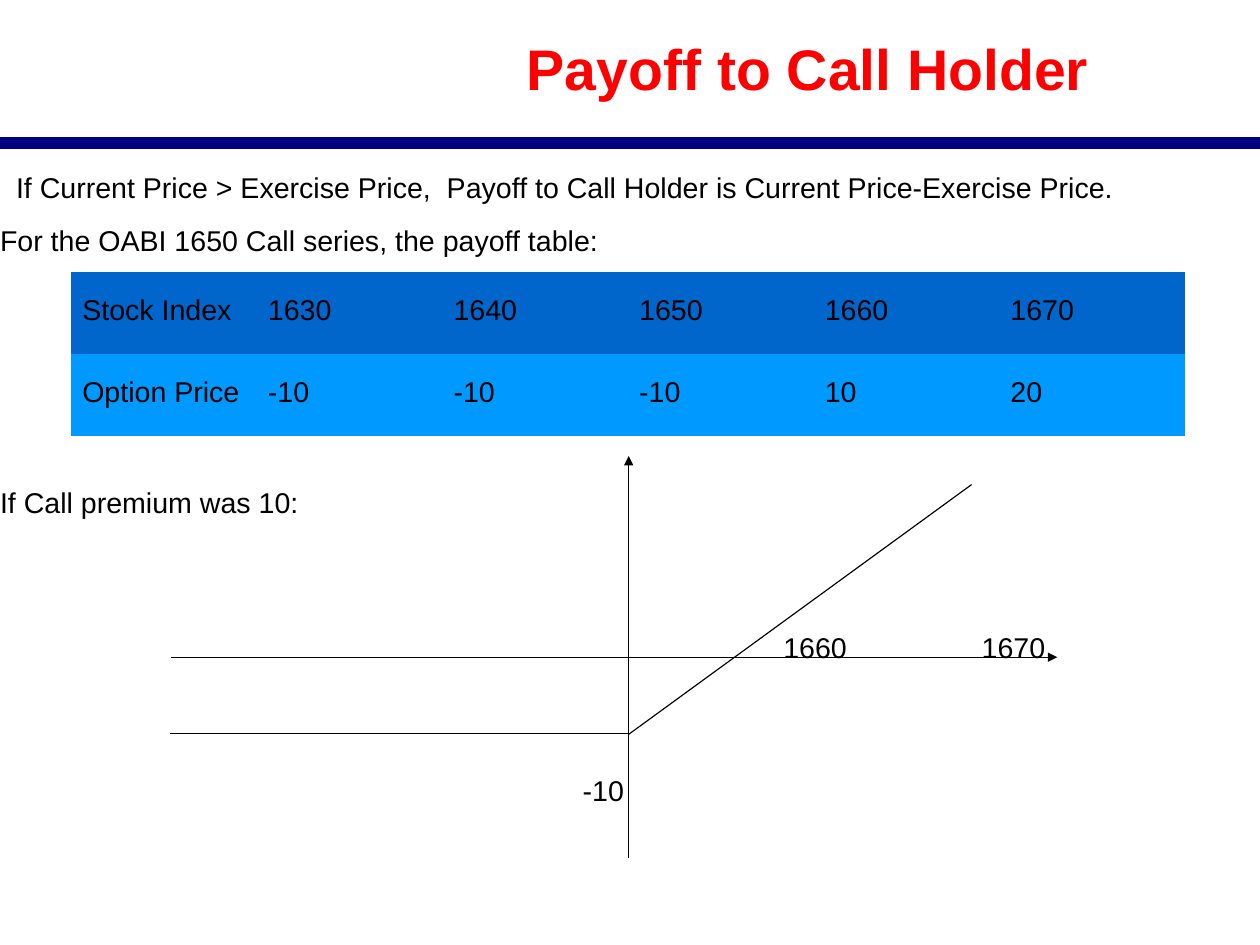
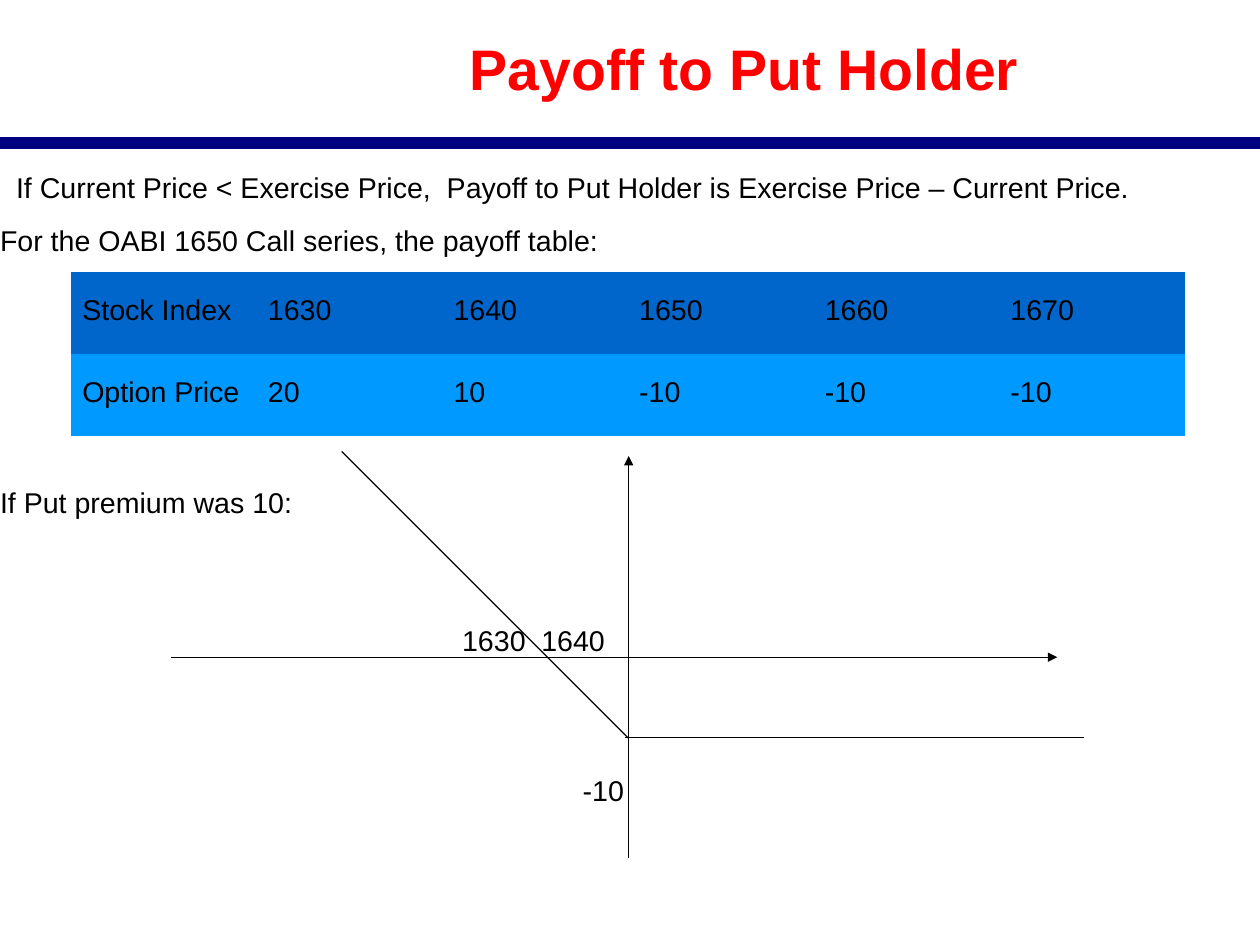
from dataclasses import dataclass

from lxml.etree import SubElement
from pptx import Presentation
from pptx.dml.color import RGBColor
from pptx.enum.shapes import MSO_CONNECTOR
from pptx.enum.text import MSO_ANCHOR
from pptx.oxml.ns import qn
from pptx.slide import Slide
from pptx.text.text import TextFrame, _Paragraph
from pptx.util import Cm, Inches, Length, Pt

# Shared look
COLORS = {"title": "FF0000", "band": "000080", "ink": "000000",
          "index_row": "0066CC", "price_row": "0099FF"}
FONT = "Arial"
PLAIN_TABLE_STYLE = "{2D5ABB26-0587-4C30-8999-92F81FD0307C}"
SLIDE_WIDTH, SLIDE_HEIGHT = Cm(28), Cm(21)

# Grid of quarter-inch squares; every position below counts columns and rows
SLIDE_COLS = 44.09
ORIGIN_COL, ZERO_ROW = 22, 23
Point = tuple[float, float]


def grid(count: float) -> Length:
    return Inches(count / 4)


@dataclass(frozen=True)
class AxisLabel:
    text: str
    col: float
    row: float


@dataclass(frozen=True)
class PayoffSlide:
    title: str
    title_col: float
    rule: str
    premium: str
    option_prices: tuple[str, ...]
    flat: tuple[Point, Point]
    slope: tuple[Point, Point]
    labels: tuple[AxisLabel, ...]


SERIES = "For the OABI 1650 Call series, the payoff table:"
STOCK_INDEX = ("1630", "1640", "1650", "1660", "1670")
LOSS_LABEL = AxisLabel("-10", 20, 27)

PAYOFFS = (
    PayoffSlide(
        title="Payoff to Call Holder",
        title_col=18.04,
        rule="If Current Price > Exercise Price,  Payoff to Call Holder is "
             "Current Price-Exercise Price.",
        premium="If Call premium was 10:",
        option_prices=("-10", "-10", "-10", "10", "20"),
        flat=((ORIGIN_COL, 25.68), (5.96, 25.68)),
        slope=((ORIGIN_COL, 25.7), (34, 16.96)),
        labels=(AxisLabel("1660", 27.02, 22), AxisLabel("1670", 33.96, 22), LOSS_LABEL),
    ),
    PayoffSlide(
        title="Payoff to Put Holder",
        title_col=16.04,
        rule="If Current Price < Exercise Price,  Payoff to Put Holder is "
             "Exercise Price – Current Price.",
        premium="If Put premium was 10:",
        option_prices=("20", "10", "-10", "-10", "-10"),
        flat=((37.92, 25.82), (21.88, 25.82)),
        slope=((ORIGIN_COL, 25.84), (11.96, 15.8)),
        labels=(AxisLabel("1630", 15.78, 21.77), AxisLabel("1640", 18.55, 21.77), LOSS_LABEL),
    ),
)


def style(paragraph: _Paragraph, spacing: float = 0.87, size: float = 18,
          color: str = "ink", bold: bool = False) -> None:
    paragraph.line_spacing = spacing
    for run in paragraph.runs:
        run.font.name = FONT
        run.font.size = Pt(size)
        run.font.bold = bold
        run.font.color.rgb = RGBColor.from_string(COLORS[color])


def add_text(slide: Slide, text: str, col: float, row: float,
             width: float, height: float) -> TextFrame:
    frame = slide.shapes.add_textbox(*map(grid, (col, row, width, height))).text_frame
    frame.word_wrap = True
    frame.text = text
    return frame


def add_line(slide: Slide, start: Point, end: Point, color: str = "ink",
             width: float = 0.74, arrow: bool = False) -> None:
    line = slide.shapes.add_connector(MSO_CONNECTOR.STRAIGHT, *map(grid, start + end))
    line.line.color.rgb = RGBColor.from_string(COLORS[color])
    line.line.width = Pt(width)
    properties = line._element.spPr
    if arrow:
        SubElement(properties.find(qn("a:ln")), qn("a:tailEnd"), type="triangle")
    SubElement(properties, qn("a:effectLst"))


def add_heading(slide: Slide, payoff: PayoffSlide) -> None:
    heading = add_text(slide, payoff.title, payoff.title_col, 1.2, 24, 2.64)
    style(heading.paragraphs[0], spacing=0.93, size=36, color="title", bold=True)
    add_line(slide, (0, 5), (SLIDE_COLS, 5), color="band", width=7.2)


def add_explanation(slide: Slide, payoff: PayoffSlide) -> None:
    text = "\n".join((payoff.rule, SERIES, payoff.premium))
    explanation = add_text(slide, text, 0, 6, SLIDE_COLS, 22.64)
    explanation.margin_left = explanation.margin_right = explanation.margin_bottom = 0
    explanation.margin_top = Inches(0.03)
    for paragraph in explanation.paragraphs:
        style(paragraph)
        paragraph.space_after = Pt(14.2)
    rule, _, premium = explanation.paragraphs
    rule._p.get_or_add_pPr().set("marL", str(Inches(0.14)))
    premium.space_before = Pt(132)  # leaves room for the table


def add_payoff_table(slide: Slide, payoff: PayoffSlide) -> None:
    rows = (("index_row", ("Stock Index", *STOCK_INDEX)),
            ("price_row", ("Option Price", *payoff.option_prices)))
    table = slide.shapes.add_table(len(rows), len(STOCK_INDEX) + 1,
                                   *map(grid, (2.48, 9.52, 38.98, 5.74))).table
    table.first_row = table.horz_banding = False
    table._tbl.tblPr.find(qn("a:tableStyleId")).text = PLAIN_TABLE_STYLE
    for r, (fill, values) in enumerate(rows):
        for c, value in enumerate(values):
            cell = table.cell(r, c)
            cell.text = value
            cell.vertical_anchor = MSO_ANCHOR.MIDDLE
            cell.margin_top = Inches(0.07)
            cell.fill.solid()
            cell.fill.fore_color.rgb = RGBColor.from_string(COLORS[fill])
            style(cell.text_frame.paragraphs[0], spacing=0.71)


def add_diagram(slide: Slide, payoff: PayoffSlide) -> None:
    # Axes
    add_line(slide, (ORIGIN_COL, 30.04), (ORIGIN_COL, 15.96), arrow=True)
    add_line(slide, (6, ZERO_ROW), (37, ZERO_ROW), arrow=True)
    # Payoff line
    add_line(slide, *payoff.flat)
    add_line(slide, *payoff.slope)
    for label in payoff.labels:
        frame = add_text(slide, label.text, label.col, label.row, 3.2, 1.44)
        style(frame.paragraphs[0])


presentation = Presentation()
presentation.slide_width = SLIDE_WIDTH
presentation.slide_height = SLIDE_HEIGHT
for payoff in PAYOFFS:
    slide = presentation.slides.add_slide(presentation.slide_layouts[6])
    add_heading(slide, payoff)
    add_explanation(slide, payoff)
    add_payoff_table(slide, payoff)
    add_diagram(slide, payoff)
presentation.save("out.pptx")
